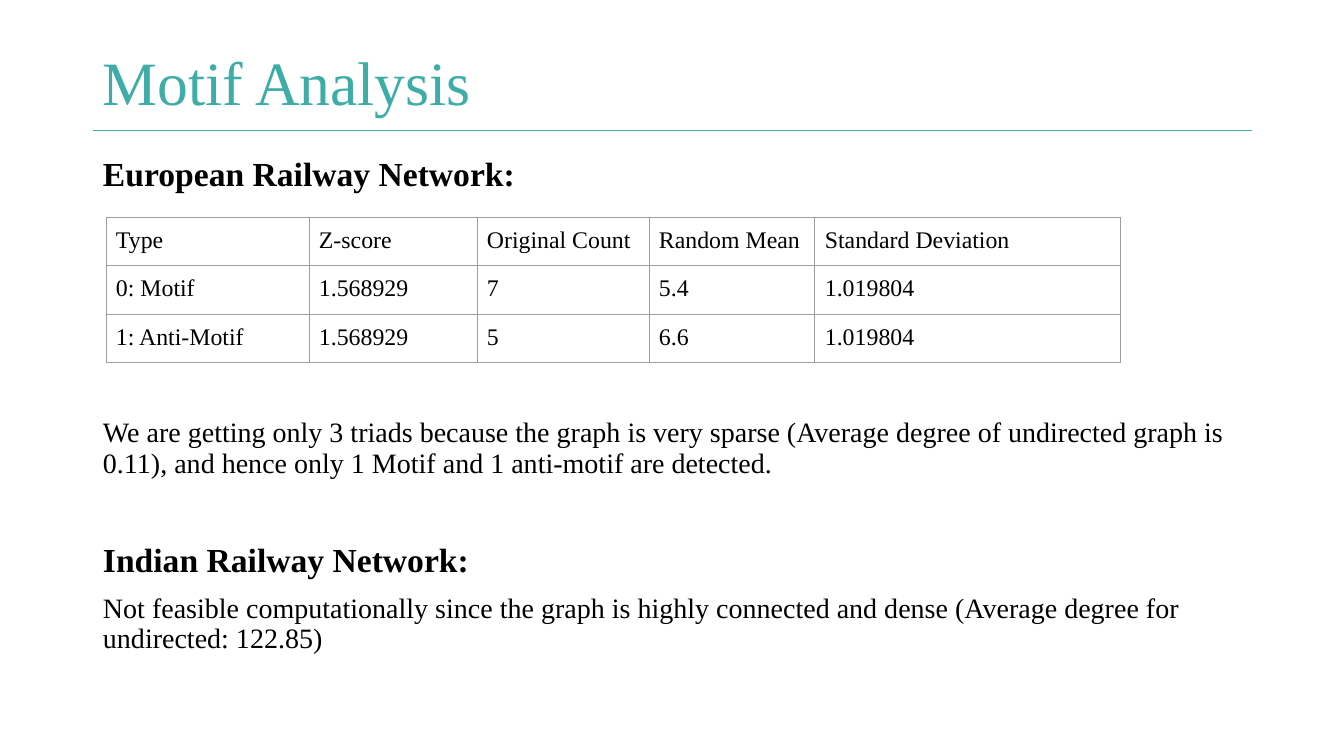
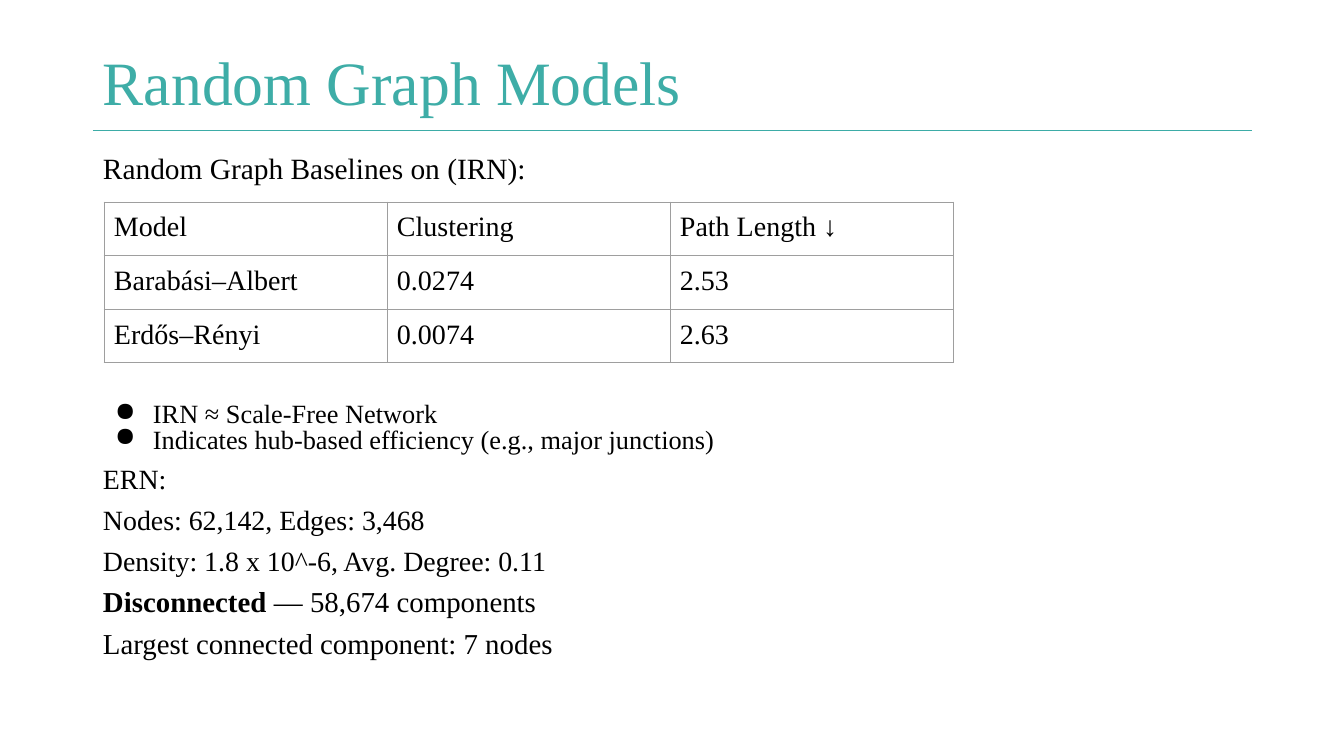
"""Build two slides on railway network motifs and random graph models."""
from dataclasses import dataclass

from lxml import etree
from pptx import Presentation
from pptx.dml.color import RGBColor
from pptx.enum.shapes import MSO_CONNECTOR
from pptx.enum.text import MSO_ANCHOR, PP_ALIGN
from pptx.oxml.ns import qn
from pptx.util import Pt

STRAIGHT = MSO_CONNECTOR.STRAIGHT
TOP, MIDDLE = MSO_ANCHOR.TOP, MSO_ANCHOR.MIDDLE
LEFT = PP_ALIGN.LEFT

EMU_PER_INCH = 914400
PX_PER_INCH = 100.8
FONT = "Times New Roman"
COLORS = {"title": "3EADA7", "rule": "3DACA7", "text": "000000",
          "grid": "9E9E9E", "page": "FFFFFF"}
HAIRLINE = Pt(0.75)
BLANK_LAYOUT = 6

PAGE_SIZE = (1344, 756)
TITLE_BOX = (93, 40, 1041, 91)
BODY_BOX = (93, 152, 1159, 529)
TEXT_INSETS = (10, 5, 10, 5)
CELL_INSETS = (10, 10, 10, 10)
BULLET_INDENT, BULLET_HANG = 50, 38


@dataclass
class Line:
    """One paragraph, with an optional bold lead-in before its text."""
    text: str
    size: float
    before: float = 10
    bold: bool = False
    bullet: bool = False
    lead: str = ""


MOTIF_LINES = [
    Line("European Railway Network:", 24, bold=True),
    Line("We are getting only 3 triads because the graph is very sparse "
         "(Average degree of undirected graph is 0.11), and hence only "
         "1 Motif and 1 anti-motif are detected.", 20, before=161),
    Line("Indian Railway Network:", 24, before=46, bold=True),
    Line("Not feasible computationally since the graph is highly connected "
         "and dense (Average degree for undirected: 122.85)", 20),
]
MOTIF_ROWS = [
    ["Type", "Z-score", "Original Count", "Random Mean", "Standard Deviation"],
    ["0: Motif", "1.568929", "7", "5.4", "1.019804"],
    ["1: Anti-Motif", "1.568929", "5", "6.6", "1.019804"],
]
MODEL_LINES = [
    Line("Random Graph Baselines on (IRN):", 21),
    Line("IRN ≈ Scale-Free Network", 18.8, before=156, bullet=True),
    Line("Indicates hub-based efficiency (e.g., major junctions)", 18.8,
         before=0, bullet=True),
    Line("ERN:", 19.9),
    Line("Nodes: 62,142, Edges: 3,468", 19.9),
    Line("Density: 1.8 x 10^-6, Avg. Degree: 0.11", 19.9),
    Line(" — 58,674 components", 20.6, lead="Disconnected"),
    Line("Largest connected component: 7 nodes", 20.6),
]
MODEL_ROWS = [
    ["Model", "Clustering", "Path Length ↓"],
    ["Barabási–Albert", "0.0274", "2.53"],
    ["Erdős–Rényi", "0.0074", "2.63"],
]


def px(length):
    """Turn whole pixels into EMU."""
    return round(length * EMU_PER_INCH / PX_PER_INCH)


def color(name):
    """Look up a named colour."""
    return RGBColor.from_string(COLORS[name])


def set_insets(target, insets):
    """Set the four margins of a text frame or a table cell."""
    sides = ("left", "top", "right", "bottom")
    for side, inset in zip(sides, insets):
        setattr(target, f"margin_{side}", px(inset))


def style_span(span, size, fill="text", bold=False):
    """Give a run its font, size, colour and weight."""
    span.font.name = FONT
    span.font.size = Pt(size)
    span.font.bold = bold
    span.font.color.rgb = color(fill)


def add_solid_fill(parent, name):
    """Append a solid fill to an XML element."""
    solid = etree.SubElement(parent, qn("a:solidFill"))
    etree.SubElement(solid, qn("a:srgbClr"), val=COLORS[name])


def add_bullet(para):
    """Give a paragraph a round bullet and a hanging indent."""
    properties = para._p.get_or_add_pPr()
    properties.set("marL", str(px(BULLET_INDENT)))
    properties.set("indent", str(-px(BULLET_HANG)))
    bullet_color = etree.SubElement(properties, qn("a:buClr"))
    etree.SubElement(bullet_color, qn("a:srgbClr"), val=COLORS["text"])
    etree.SubElement(properties, qn("a:buChar"), char="●")


def add_text(page, box, lines, spacing, fill="text", anchor=TOP):
    """Place a text box holding the given lines."""
    frame = page.shapes.add_textbox(*map(px, box)).text_frame
    frame.word_wrap = True
    frame.vertical_anchor = anchor
    set_insets(frame, TEXT_INSETS)
    for index, line in enumerate(lines):
        para = frame.add_paragraph() if index else frame.paragraphs[0]
        para.text = line.lead or line.text
        para.alignment = LEFT
        para.line_spacing = spacing
        para.space_before = Pt(line.before)
        style_span(para.runs[0], line.size, fill, line.bold or bool(line.lead))
        if line.lead:
            span = para.add_run()
            span.text = line.text
            style_span(span, line.size, fill, line.bold)
        if line.bullet:
            add_bullet(para)


def add_header(page, box, title):
    """Place the title and the rule along the bottom of its box."""
    add_text(page, box, [Line(title, 44, before=0)], 0.9, "title", MIDDLE)
    left, top, _, height = box
    right = BODY_BOX[0] + BODY_BOX[2]
    bottom = top + height
    rule = page.shapes.add_connector(
        STRAIGHT, px(left), px(bottom), px(right), px(bottom))
    rule.line.color.rgb = color("rule")
    rule.line.width = HAIRLINE
    etree.SubElement(rule.element.spPr, qn("a:effectLst"))


def style_cell(cell, size):
    """Give a cell its margins, font, thin borders and clear fill."""
    set_insets(cell, CELL_INSETS)
    style_span(cell.text_frame.paragraphs[0].runs[0], size)
    properties = cell._tc.get_or_add_tcPr()
    for side in "LRTB":
        border = etree.SubElement(properties, qn(f"a:ln{side}"),
                                  w=str(HAIRLINE))
        add_solid_fill(border, "grid")
    cell.fill.background()


def add_grid(page, corner, widths, row_height, rows, size):
    """Place a plain bordered table from its top left corner."""
    extent = (sum(widths), row_height * len(rows))
    table = page.shapes.add_table(
        len(rows), len(widths), *map(px, corner + extent)).table
    table.first_row = False
    table.horz_banding = False
    for column, width in zip(table.columns, widths):
        column.width = px(width)
    for row, texts in zip(table.rows, rows):
        row.height = px(row_height)
        for cell, text in zip(row.cells, texts):
            cell.text = text
            style_cell(cell, size)


def add_page(deck, title, lines, spacing):
    """Add a page with its title and body text."""
    page = deck.slides.add_slide(deck.slide_layouts[BLANK_LAYOUT])
    page.background.fill.solid()
    page.background.fill.fore_color.rgb = color("page")
    add_header(page, TITLE_BOX, title)
    add_text(page, BODY_BOX, lines, spacing)
    return page


def main():
    """Build and save the deck."""
    deck = Presentation()
    deck.slide_width, deck.slide_height = map(px, PAGE_SIZE)
    motifs = add_page(deck, "Motif Analysis", MOTIF_LINES, 0.9)
    add_grid(motifs, (106, 217), [203, 168, 172, 166, 306], 47, MOTIF_ROWS, 17)
    models = add_page(deck, "Random Graph Models", MODEL_LINES, 0.8)
    add_grid(models, (104, 202), [283] * 3, 51, MODEL_ROWS, 20)
    deck.save("out.pptx")


if __name__ == "__main__":
    main()
